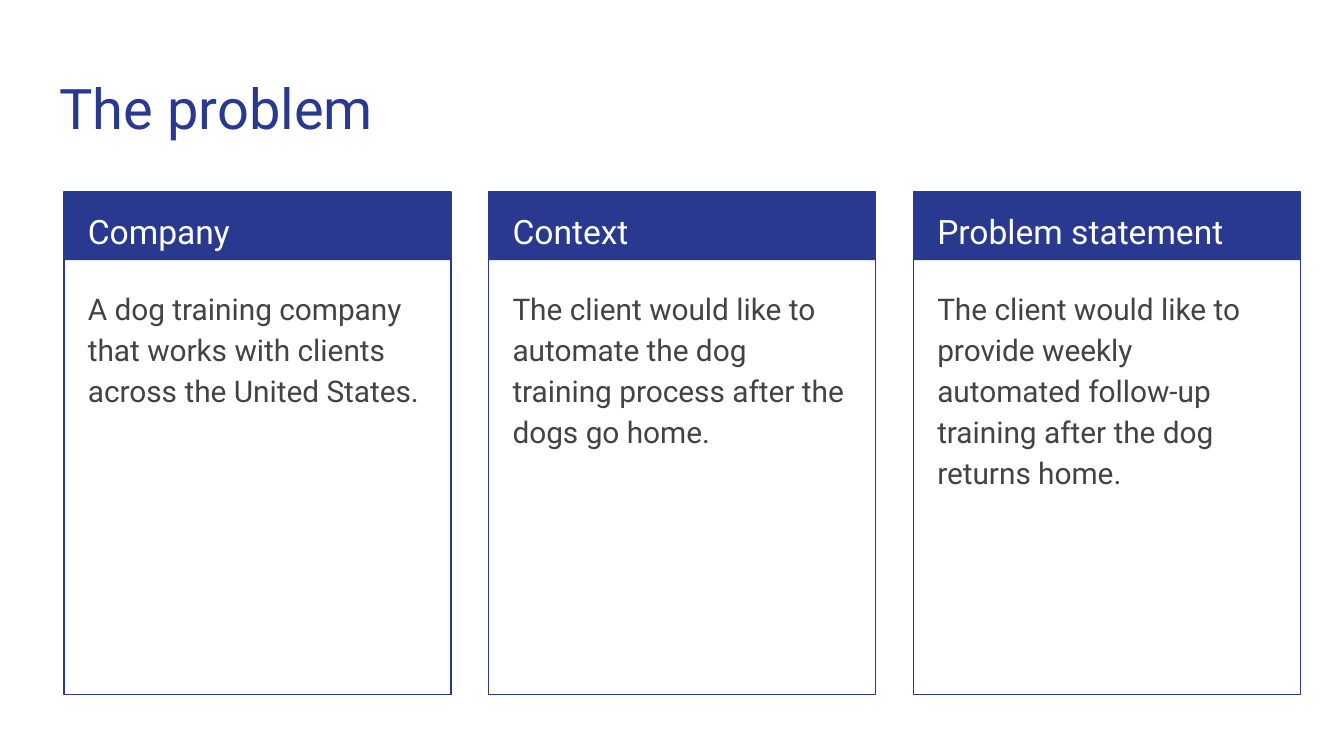
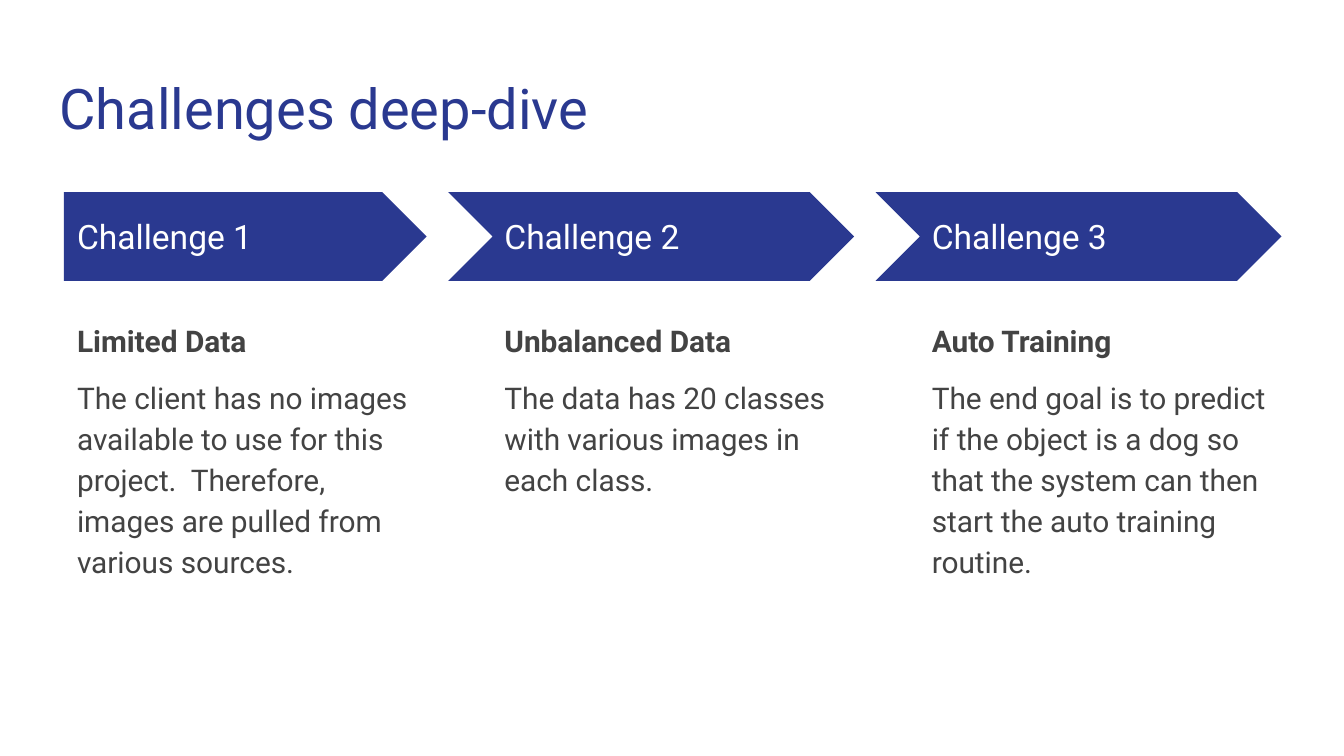
from pptx import Presentation
from pptx.dml.color import RGBColor
from pptx.enum.shapes import MSO_SHAPE
from pptx.enum.text import MSO_ANCHOR
from pptx.util import Pt

# Content
PROBLEM_TITLE = "The problem"
PROBLEM_CARDS = [
    ("Company", "A dog training company that works with clients across the United States."),
    ("Context", "The client would like to automate the dog training process after the dogs go home."),
    ("Problem statement", "The client would like to provide weekly automated follow-up training "
                          "after the dog returns home."),
]
CHALLENGES_TITLE = "Challenges deep-dive"
CHALLENGES = [
    ("Challenge 1", "Limited Data",
     "The client has no images available to use for this project.  Therefore, "
     "images are pulled from various sources."),
    ("Challenge 2", "Unbalanced Data",
     "The data has 20 classes with various images in each class."),
    ("Challenge 3", "Auto Training",
     "The end goal is to predict if the object is a dog so that the system can then "
     "start the auto training routine."),
]

# Shared style
PX = 4572  # EMU per px, 200 px to the inch
SLIDE_W, SLIDE_H = 2000, 1125
LEFT, TOP = 95, 286
INSET = 20
FONT = "Roboto"
NAVY = RGBColor(0x2A, 0x39, 0x90)
GREY = RGBColor(0x43, 0x43, 0x43)
WHITE = RGBColor(0xFF, 0xFF, 0xFF)
RECTANGLE, PENTAGON, CHEVRON = MSO_SHAPE.RECTANGLE, MSO_SHAPE.PENTAGON, MSO_SHAPE.CHEVRON
ANCHOR_TOP, ANCHOR_MIDDLE = MSO_ANCHOR.TOP, MSO_ANCHOR.MIDDLE

# Layout of the two rows
CARD_W, CARD_H, CARD_STEP = 576, 748, 632
BAND_H, CARD_PAD = 101, 16
ARROW_W, ARROW_H, ARROW_STEP = 540, 132, 636
NOTCH = 64  # extra length at the left of a chevron


def box(*lengths):
    return [length * PX for length in lengths]


def add_text(slide, frame, lines, size, color, spacing=1.0, anchor=ANCHOR_TOP):
    """Write lines of (text, bold, space before, space after) in a text box."""
    text_frame = slide.shapes.add_textbox(*box(*frame)).text_frame
    text_frame.word_wrap = True
    text_frame.vertical_anchor = anchor
    text_frame.margin_left = text_frame.margin_right = INSET * PX
    text_frame.margin_top = text_frame.margin_bottom = INSET * PX
    for i, (text, bold, before, after) in enumerate(lines):
        paragraph = text_frame.add_paragraph() if i else text_frame.paragraphs[0]
        paragraph.text = text
        paragraph.line_spacing = spacing
        paragraph.space_before, paragraph.space_after = Pt(before), Pt(after)
        font = paragraph.font
        font.name, font.size, font.bold = FONT, Pt(size), bold
        font.color.rgb = color


def add_figure(slide, kind, frame, filled=True):
    """Draw a navy shape, either solid or as a thin outline."""
    figure = slide.shapes.add_shape(kind, *box(*frame))
    figure.shadow.inherit = False
    if filled:
        figure.fill.solid()
        figure.fill.fore_color.rgb = NAVY
        figure.line.fill.background()
    else:
        figure.fill.background()
        figure.line.color.rgb = NAVY
        figure.line.width = Pt(0.75)


def add_titled_slide(deck, title):
    slide = deck.slides.add_slide(deck.slide_layouts[6])
    slide.background.fill.solid()
    slide.background.fill.fore_color.rgb = WHITE
    add_text(slide, (69, 90, 1864, 132), [(title, False, 0, 0)], 30, NAVY)
    return slide


def add_card(slide, left, heading, body):
    add_figure(slide, RECTANGLE, (left, TOP, CARD_W, BAND_H))
    add_figure(slide, RECTANGLE, (left, TOP, CARD_W, CARD_H), filled=False)
    text_left, text_w = left + CARD_PAD, CARD_W - 2 * CARD_PAD
    add_text(slide, (text_left, TOP - 1, text_w, 100),
             [(heading, False, 0, 0)], 18, WHITE, 1.15)
    add_text(slide, (text_left, TOP + BAND_H + CARD_PAD + 1, text_w, 612),
             [(body, False, 0, 16)], 16, GREY, 1.15)


def add_challenge(slide, left, is_first, label, heading, body):
    kind, notch = (PENTAGON, 0) if is_first else (CHEVRON, NOTCH)
    add_figure(slide, kind, (left - notch, TOP, ARROW_W + notch, ARROW_H))
    add_text(slide, (left, TOP + 32, 494, 68),
             [(label, False, 0, 0)], 18, WHITE, anchor=ANCHOR_MIDDLE)
    add_text(slide, (left, 453, ARROW_W, 580),
             [(heading, True, 0, 0), (body, False, 8, 8)], 16, GREY, 1.15)


def main():
    deck = Presentation()
    deck.slide_width, deck.slide_height = box(SLIDE_W, SLIDE_H)

    problem = add_titled_slide(deck, PROBLEM_TITLE)
    for i, card in enumerate(PROBLEM_CARDS):
        add_card(problem, LEFT + i * CARD_STEP, *card)

    deep_dive = add_titled_slide(deck, CHALLENGES_TITLE)
    for i, challenge in enumerate(CHALLENGES):
        add_challenge(deep_dive, LEFT + i * ARROW_STEP, i == 0, *challenge)

    deck.save("out.pptx")


if __name__ == "__main__":
    main()
